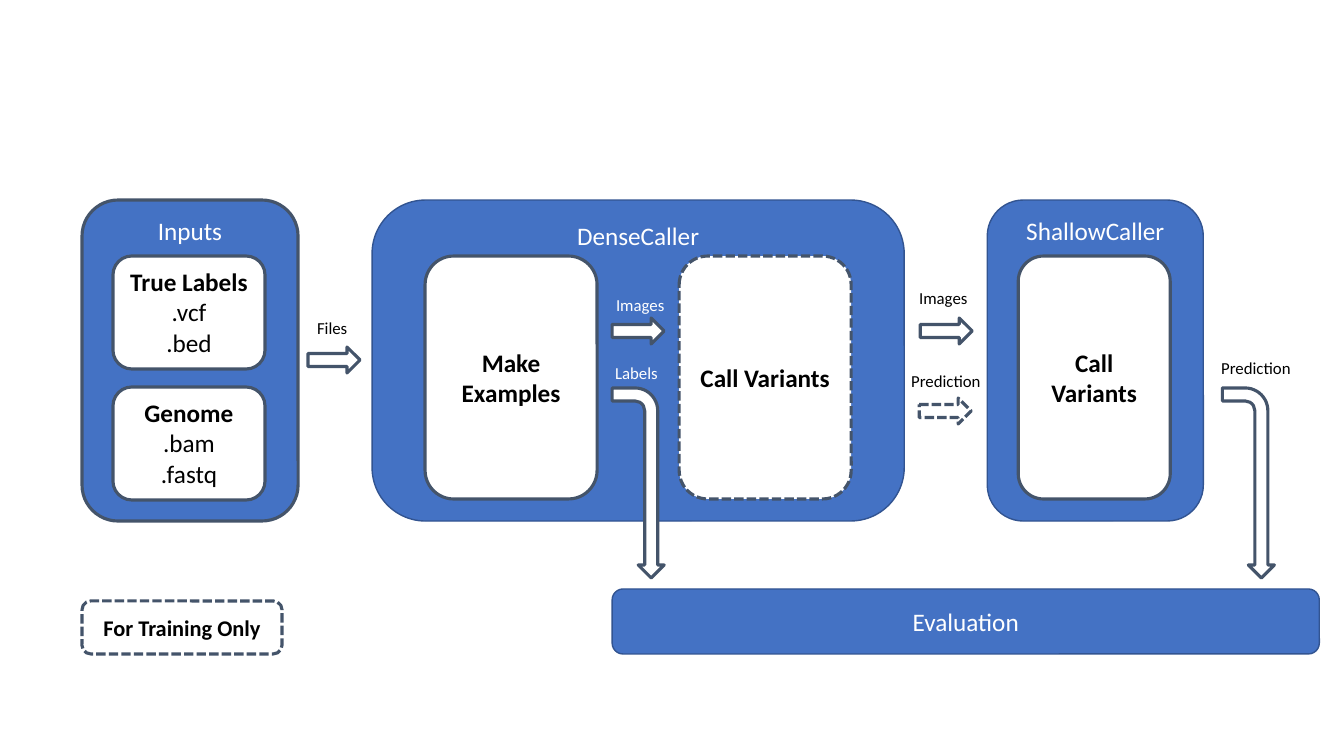
from pptx import Presentation
from pptx.dml.color import RGBColor
from pptx.enum.dml import MSO_LINE
from pptx.enum.shapes import MSO_SHAPE
from pptx.enum.text import MSO_ANCHOR, PP_ALIGN
from pptx.util import Emu, Inches, Pt

BLUE = RGBColor(0x44, 0x72, 0xC4)
DARK_BLUE = RGBColor(0x32, 0x54, 0x91)
SLATE = RGBColor(0x44, 0x54, 0x6A)
WHITE = RGBColor(0xFF, 0xFF, 0xFF)
BLACK = RGBColor(0, 0, 0)
FONT = "Calibri"
SCALE = Inches(1) / 100.8

PANEL_TOP, PANEL_H = 200, 321
BOX_TOP, BOX_H = 256, 243


def px(*values):
    return [Emu(round(v * SCALE)) for v in values]


def set_font(p, size, color, bold=False):
    p.font.name = FONT
    p.font.size = Pt(size)
    p.font.bold = bold
    p.font.color.rgb = color


def add_outlined(shapes, kind, rect, fill, line, width, dashed=False):
    sp = shapes.add_shape(kind, *px(*rect))
    sp.shadow.inherit = False
    sp.fill.solid()
    sp.fill.fore_color.rgb = fill
    sp.line.color.rgb = line
    sp.line.width = Pt(width)
    if dashed:
        sp.line.dash_style = MSO_LINE.SQUARE_DOT
    return sp


def write_lines(sp, lines, size, color, bold_first, anchor):
    tf = sp.text_frame
    tf.word_wrap = True
    tf.vertical_anchor = anchor
    tf.text = "\n".join(lines)
    for i, p in enumerate(tf.paragraphs):
        p.alignment = PP_ALIGN.CENTER
        set_font(p, size, color, bold_first and i == 0)


def add_panel(shapes, rect, title, line=DARK_BLUE, width=1, anchor=MSO_ANCHOR.TOP):
    sp = add_outlined(shapes, MSO_SHAPE.ROUNDED_RECTANGLE, rect, BLUE, line, width)
    write_lines(sp, [title], 18, WHITE, False, anchor)


def add_box(shapes, rect, lines, size=18, dashed=False, anchor=MSO_ANCHOR.MIDDLE):
    sp = add_outlined(shapes, MSO_SHAPE.ROUNDED_RECTANGLE, rect, WHITE, SLATE, 2.25, dashed)
    write_lines(sp, lines, size, BLACK, True, anchor)


def add_arrow(shapes, x, y, dashed=False):
    add_outlined(shapes, MSO_SHAPE.RIGHT_ARROW, (x, y, 52, 26), WHITE, SLATE, 2.25, dashed)


def add_down_arrow(shapes, x, y, w=52, h=190):
    rect = (x + (w - h) / 2, y + (h - w) / 2, h, w)
    sp = add_outlined(shapes, MSO_SHAPE.BENT_ARROW, rect, WHITE, SLATE, 2.25)
    sp.rotation = 90


def add_label(shapes, x, y, w, text, color=BLACK):
    tf = shapes.add_textbox(*px(x, y, w, 30)).text_frame
    tf.word_wrap = False
    tf.text = text
    set_font(tf.paragraphs[0], 12, color)


def add_inputs(slide):
    shapes = slide.shapes.add_group_shape().shapes
    add_panel(shapes, (82, PANEL_TOP, 216, PANEL_H), "Inputs", SLATE, 2.25)
    files = [("True Labels", ".vcf", ".bed"), ("Genome", ".bam", ".fastq")]
    for i, lines in enumerate(files):
        add_box(shapes, (113, BOX_TOP + 131 * i, 152, 113), lines, anchor=MSO_ANCHOR.TOP)


def main():
    prs = Presentation()
    prs.slide_width, prs.slide_height = Inches(13.33), Inches(7.5)
    s = prs.slides.add_slide(prs.slide_layouts[6])
    shapes = s.shapes

    add_inputs(s)
    add_panel(shapes, (372, PANEL_TOP, 532, PANEL_H), "DenseCaller")
    add_box(shapes, (425, BOX_TOP, 172, BOX_H), ["Make Examples"])
    add_box(shapes, (679, BOX_TOP, 172, BOX_H), ["Call Variants"], dashed=True)
    add_panel(shapes, (987, PANEL_TOP, 216, PANEL_H), "ShallowCaller")
    add_box(shapes, (1018, BOX_TOP, 152, BOX_H), ["Call Variants"])
    add_panel(shapes, (612, 589, 707, 65), "Evaluation", anchor=MSO_ANCHOR.MIDDLE)
    add_box(shapes, (82, 601, 200, 53), ["For Training Only"], size=16, dashed=True)

    for x, y, dashed in [(308, 347, False), (612, 318, False),
                         (920, 318, False), (919, 398, True)]:
        add_arrow(shapes, x, y, dashed)
    for x in (612, 1222):
        add_down_arrow(shapes, x, 388)

    for x, y, w, text, color in [
        (307, 313, 51, "Files", BLACK),
        (606, 290, 70, "Images", WHITE),
        (605, 358, 64, "Labels", WHITE),
        (909, 283, 70, "Images", BLACK),
        (901, 366, 91, "Prediction", BLACK),
        (1211, 353, 91, "Prediction", BLACK),
    ]:
        add_label(shapes, x, y, w, text, color)

    prs.save("out.pptx")


main()
